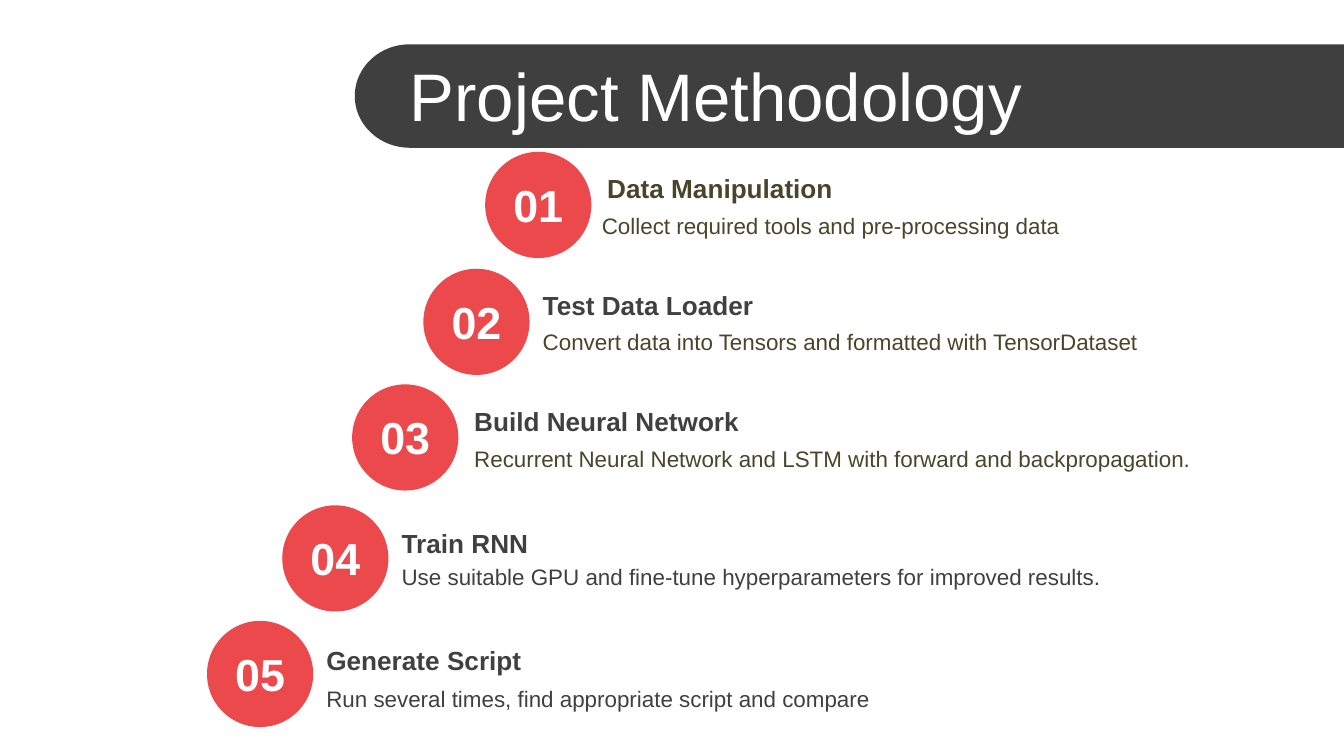
import math

from pptx import Presentation, util as u
from pptx.dml.color import RGBColor
from pptx.enum import shapes, text

WIDTH = 10
HEIGHT = WIDTH * 9 / 16
DARK, RED, WHITE, OLIVE, GREY = "3F3F3F", "EB494B", "FFFFFF", "4A452A", "404040"
DISC = 0.79

# number, disc (left, top), heading, its offset from the disc and colour,
# detail, its offset, width and colour
STEPS = [
    ("01", (3.61, 1.13), "Data Manipulation", (0.81, 0.10), OLIVE,
     "Collect required tools and pre-processing data", (0.77, 0.40), 5.04, OLIVE),
    ("02", (3.15, 2.00), "Test Data Loader", (0.79, 0.10), GREY,
     "Convert data into Tensors and formatted with TensorDataset",
     (0.79, 0.39), 5.04, OLIVE),
    ("03", (2.62, 2.86), "Build Neural Network", (0.81, 0.10), GREY,
     "Recurrent Neural Network and LSTM with forward and backpropagation.",
     (0.81, 0.40), 5.58, OLIVE),
    ("04", (2.10, 3.76), "Train RNN", (0.79, 0.11), GREY,
     "Use suitable GPU and fine-tune hyperparameters for improved results.",
     (0.79, 0.38), 5.5, GREY),
    ("05", (1.54, 4.62), "Generate Script", (0.79, 0.12), GREY,
     "Run several times, find appropriate script and compare",
     (0.79, 0.43), 5.5, GREY),
]


def color(value):
    return RGBColor.from_string(value)


def paint(sp, fill):
    """Give a shape a flat fill with no outline or shadow."""
    sp.shadow.inherit = False
    sp.fill.solid()
    sp.fill.fore_color.rgb = color(fill)
    sp.line.fill.background()


def add_text(s, words, x, y, w, h, size=12, fill=GREY, bold=False,
             align=text.PP_ALIGN.LEFT):
    sp = s.shapes.add_textbox(*map(u.Inches, (x, y, w, h)))
    tf = sp.text_frame
    tf.word_wrap = True
    tf.vertical_anchor = text.MSO_ANCHOR.MIDDLE
    p = tf.paragraphs[0]
    p.alignment = align
    r = p.add_run()
    r.text = words
    r.font.name = "Arial"
    r.font.size = u.Pt(size)
    r.font.bold = bold
    r.font.color.rgb = color(fill)


def add_banner(s, left, top, height, cap):
    """Draw a bar to the right edge whose left end is half an ellipse."""
    arc = [math.radians(90 + 3 * i) for i in range(61)]
    points = [(left + cap + cap * math.cos(a),
               top + height / 2 + height / 2 * math.sin(a)) for a in arc]
    points += [(WIDTH, top), (WIDTH, top + height)]
    start, *rest = [(u.Inches(x), u.Inches(y)) for x, y in points]
    outline = s.shapes.build_freeform(*start)
    outline.add_line_segments(rest, close=True)
    paint(outline.convert_to_shape(), DARK)


def add_step(s, number, disc, heading, heading_at, heading_fill,
             detail, detail_at, detail_width, detail_fill):
    x, y = disc
    sp = s.shapes.add_shape(shapes.MSO_SHAPE.OVAL,
                            *map(u.Inches, (x, y, DISC, DISC)))
    paint(sp, RED)
    add_text(s, number, x, y + 0.14, DISC, 0.5, size=24, fill=WHITE, bold=True,
             align=text.PP_ALIGN.CENTER)
    add_text(s, heading, x + heading_at[0], y + heading_at[1], 5.04, 0.34,
             size=14, fill=heading_fill, bold=True)
    add_text(s, detail, x + detail_at[0], y + detail_at[1], detail_width, 0.3,
             fill=detail_fill)


def main():
    prs = Presentation()
    prs.slide_width, prs.slide_height = u.Inches(WIDTH), u.Inches(HEIGHT)
    s = prs.slides.add_slide(prs.slide_layouts[6])
    add_banner(s, 2.64, 0.33, 0.77, 0.41)
    add_text(s, "Project Methodology", 2.95, 0.39, 6.94, 0.63, size=36, fill=WHITE)
    for step in STEPS:
        add_step(s, *step)
    prs.save("out.pptx")


if __name__ == "__main__":
    main()
